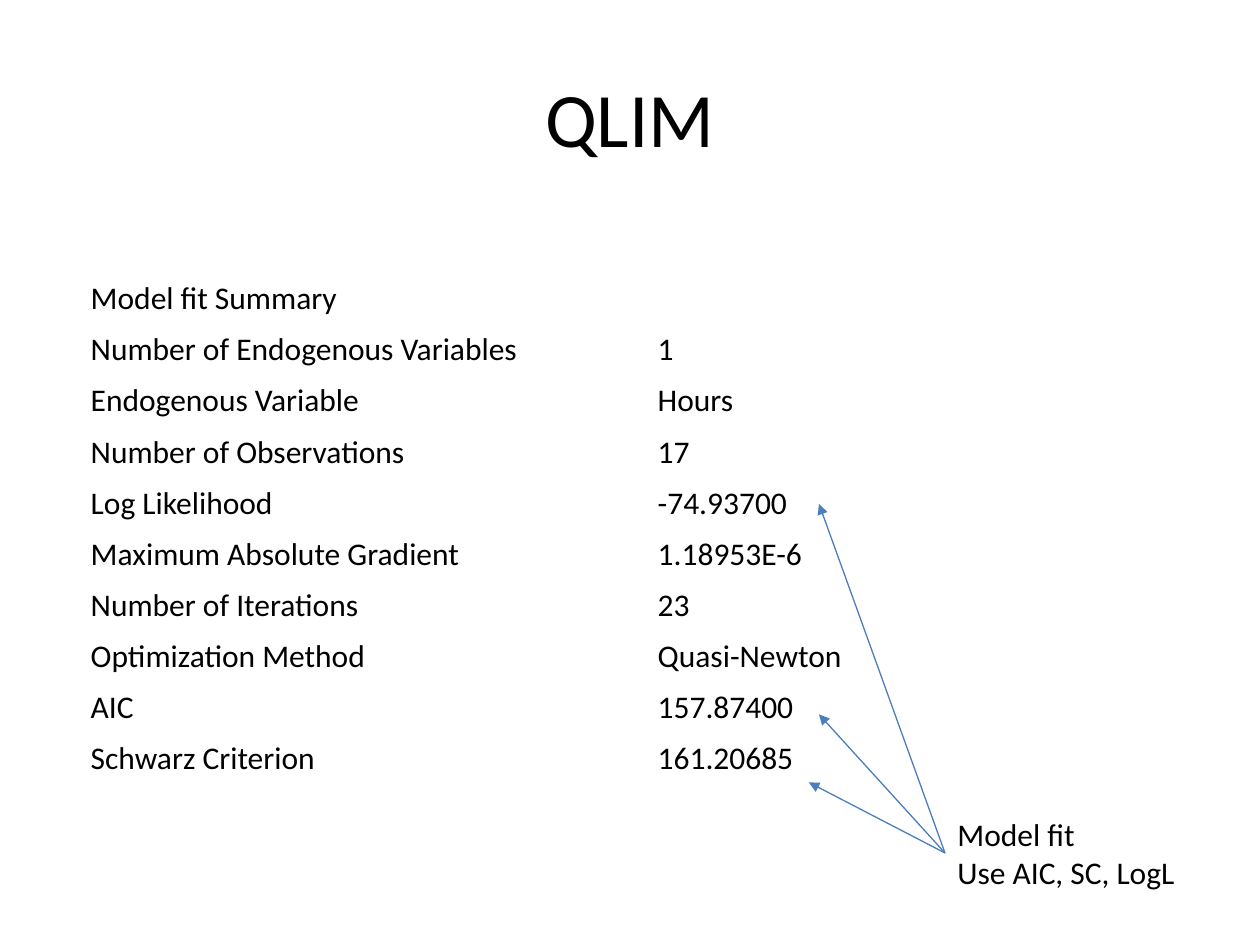
from dataclasses import dataclass

from lxml.etree import SubElement
from pptx import Presentation
from pptx.dml.color import RGBColor
from pptx.enum.shapes import MSO_CONNECTOR
from pptx.enum.text import MSO_ANCHOR, MSO_AUTO_SIZE, PP_ALIGN
from pptx.oxml.ns import qn
from pptx.util import Inches, Pt


@dataclass(frozen=True)
class Theme:
    font: str = "Calibri"
    ink: RGBColor = RGBColor(0x00, 0x00, 0x00)
    arrow: RGBColor = RGBColor(0x4B, 0x7E, 0xBC)
    title_size: int = 44
    body_size: int = 18
    line_width: float = 0.75


class SlideBuilder:
    """Adds styled elements to one slide, measured on a grid of 100 columns by 75 rows."""

    def __init__(self, prs, theme):
        self.theme = theme
        self.col = prs.slide_width / 100
        self.row = prs.slide_height / 75
        self.s = prs.slides.add_slide(prs.slide_layouts[5])

    def place(self, x, y):
        return round(x * self.col), round(y * self.row)

    def format_text(self, tf, size):
        for p in tf.paragraphs:
            for r in p.runs:
                r.font.name = self.theme.font
                r.font.size = Pt(size)
                r.font.color.rgb = self.theme.ink

    def title(self, text, x, y, w, h):
        sp = self.s.shapes.title
        sp.left, sp.top = self.place(x, y)
        sp.width, sp.height = self.place(w, h)
        tf = sp.text_frame
        tf.text = text
        tf.vertical_anchor = MSO_ANCHOR.MIDDLE
        tf.paragraphs[0].alignment = PP_ALIGN.CENTER
        self.format_text(tf, self.theme.title_size)

    def table(self, heading, rows, x, y, w, h):
        frame = self.s.shapes.add_table(len(rows) + 1, 2, *self.place(x, y), *self.place(w, h))
        table = frame.table
        table.first_row = table.horz_banding = False
        table.cell(0, 0).merge(table.cell(0, 1))
        for i, values in enumerate([(heading, ""), *rows]):
            for j, value in enumerate(values):
                cell = table.cell(i, j)
                cell.fill.background()
                cell.vertical_anchor = MSO_ANCHOR.MIDDLE
                cell.margin_left = cell.margin_right = Inches(0.05)
                cell.margin_top = cell.margin_bottom = Inches(0.05)
                if value:
                    cell.text_frame.text = value
                    self.format_text(cell.text_frame, self.theme.body_size)

    def note(self, text, x, y, w, h):
        tf = self.s.shapes.add_textbox(*self.place(x, y), *self.place(w, h)).text_frame
        tf.text = text
        tf.word_wrap = False
        tf.auto_size = MSO_AUTO_SIZE.SHAPE_TO_FIT_TEXT
        self.format_text(tf, self.theme.body_size)

    def arrow(self, start, end):
        line = self.s.shapes.add_connector(
            MSO_CONNECTOR.STRAIGHT, *self.place(*start), *self.place(*end))
        line.line.color.rgb = self.theme.arrow
        line.line.width = Pt(self.theme.line_width)
        SubElement(line.line._get_or_add_ln(), qn("a:tailEnd"), type="triangle")
        SubElement(line._element.spPr, qn("a:effectLst"))


FIT_SUMMARY = [
    ("Number of Endogenous Variables", "1"),
    ("Endogenous Variable", "Hours"),
    ("Number of Observations", "17"),
    ("Log Likelihood", "-74.93700"),
    ("Maximum Absolute Gradient", "1.18953E-6"),
    ("Number of Iterations", "23"),
    ("Optimization Method", "Quasi-Newton"),
    ("AIC", "157.87400"),
    ("Schwarz Criterion", "161.20685"),
]
FIT_MEASURES = [(65, 40), (65, 56.7), (64.2, 62.1)]


def main():
    prs = Presentation()
    prs.slide_width, prs.slide_height = Inches(10), Inches(7.5)
    slide = SlideBuilder(prs, Theme())
    slide.title("QLIM", 5, 3, 90, 12.5)
    slide.table("Model fit Summary", FIT_SUMMARY, 6.7, 21.7, 90, 40.4)
    slide.note("Model fit\nUse AIC, SC, LogL", 75, 64.2, 19.5, 7.1)
    for measure in FIT_MEASURES:
        slide.arrow((75, 67.7), measure)
    prs.save("out.pptx")


if __name__ == "__main__":
    main()
